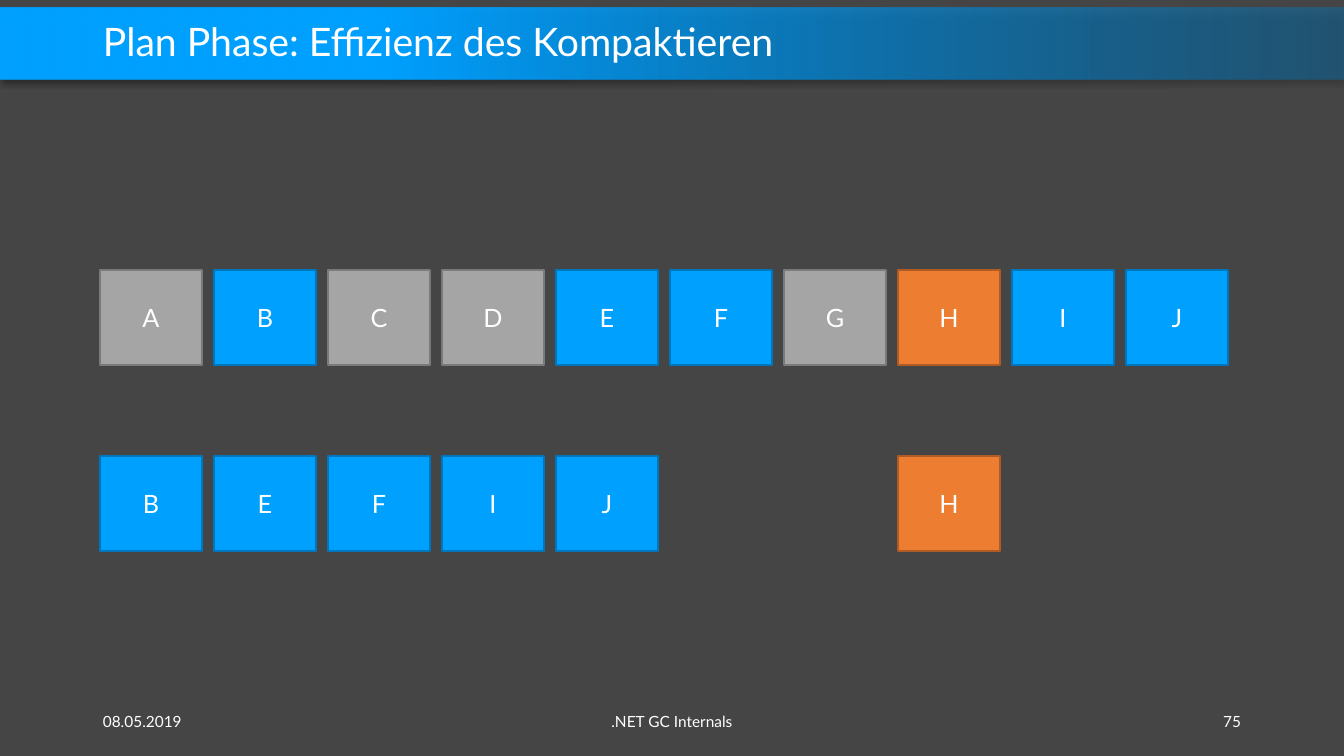
from lxml.etree import SubElement
from pptx import Presentation
from pptx.dml.color import RGBColor
from pptx.enum.shapes import MSO_SHAPE
from pptx.enum.text import MSO_ANCHOR, PP_ALIGN
from pptx.oxml.ns import qn
from pptx.util import Emu, Pt

EMU_PER_PX = 914400 / 100.8
COLORS = {
    "background": "454545",
    "text": "FFFFFF",
    "banner_end": "0078BF",
    "banner": "00A0FF",
    "shadow": "000000",
    "free": "A5A5A5",
    "free_line": "7A7A7A",
    "live": "00A0FF",
    "live_line": "0076BD",
    "pinned": "ED7D31",
    "pinned_line": "AF5C24",
}
BLOCK_LEFT, BLOCK_STEP = 100, 114
BLOCK_WIDTH, BLOCK_HEIGHT = 102, 95
FREE_BLOCKS = "ACDG"
PINNED_BLOCKS = "H"
MEMORY_ROWS = {270: "ABCDEFGHIJ", 456: "BEFIJ  H"}


def px(length):
    return Emu(round(length * EMU_PER_PX))


def color(name):
    return RGBColor.from_string(COLORS[name])


class SlideBuilder:
    font_name = "Lato"

    def __init__(self, slide):
        self.slide = slide
        fill = slide.background.fill
        fill.solid()
        fill.fore_color.rgb = color("background")

    def set_text(self, shape, text, size, align, line_spacing=None):
        frame = shape.text_frame
        frame.word_wrap = True
        frame.vertical_anchor = MSO_ANCHOR.MIDDLE
        paragraph = frame.paragraphs[0]
        paragraph.text = text
        paragraph.alignment = align
        paragraph.line_spacing = line_spacing
        paragraph.font.name = self.font_name
        paragraph.font.size = Pt(size)
        paragraph.font.color.rgb = color("text")

    def text(self, left, top, width, height, text, size, align=PP_ALIGN.LEFT, line_spacing=None):
        shape = self.slide.shapes.add_textbox(px(left), px(top), px(width), px(height))
        self.set_text(shape, text, size, align, line_spacing)

    def rectangle(self, left, top, width, height):
        shape = self.slide.shapes.add_shape(
            MSO_SHAPE.RECTANGLE, px(left), px(top), px(width), px(height)
        )
        shape.shadow.inherit = False
        return shape

    def banner(self, left, top, width, height):
        shape = self.rectangle(left, top, width, height)
        shape.line.fill.background()
        shape.fill.gradient()
        shape.fill.gradient_angle = 180
        stops = shape.fill.gradient_stops
        for stop, position, name in zip(stops, (0, 0.72), ("banner_end", "banner")):
            stop.position = position
            stop.color.rgb = color(name)
        end_color = shape.element.xpath(".//a:gs/a:srgbClr")[0]
        SubElement(end_color, qn("a:alpha"), val="40000")
        effects = shape.element.spPr.find(qn("a:effectLst"))
        shadow = SubElement(
            effects, qn("a:outerShdw"), blurRad=str(Pt(4)), dist=str(Pt(3)),
            dir="5400000", algn="t", rotWithShape="0",
        )
        shadow_color = SubElement(shadow, qn("a:srgbClr"), val=COLORS["shadow"])
        SubElement(shadow_color, qn("a:alpha"), val="40000")

    def block(self, column, top, label):
        if label in FREE_BLOCKS:
            state = "free"
        elif label in PINNED_BLOCKS:
            state = "pinned"
        else:
            state = "live"
        shape = self.rectangle(BLOCK_LEFT + column * BLOCK_STEP, top, BLOCK_WIDTH, BLOCK_HEIGHT)
        shape.fill.solid()
        shape.fill.fore_color.rgb = color(state)
        shape.line.color.rgb = color(f"{state}_line")
        shape.line.width = Pt(1)
        self.set_text(shape, label, 18, PP_ALIGN.CENTER)


def main():
    presentation = Presentation()
    presentation.slide_width = px(1344)
    presentation.slide_height = px(756)
    builder = SlideBuilder(presentation.slides.add_slide(presentation.slide_layouts[6]))

    builder.banner(0, 8, 1344, 71)
    builder.text(93, 16, 1159, 55, "Plan Phase: Effizienz des Kompaktieren", 28, line_spacing=0.9)
    for left, width, text, align in (
        (93, 302, "08.05.2019", PP_ALIGN.LEFT),
        (445, 454, ".NET GC Internals", PP_ALIGN.CENTER),
        (949, 302, "75", PP_ALIGN.RIGHT),
    ):
        builder.text(left, 701, width, 40, text, 11, align)

    for top, labels in MEMORY_ROWS.items():
        for column, label in enumerate(labels):
            if label != " ":
                builder.block(column, top, label)

    presentation.save("out.pptx")


if __name__ == "__main__":
    main()
